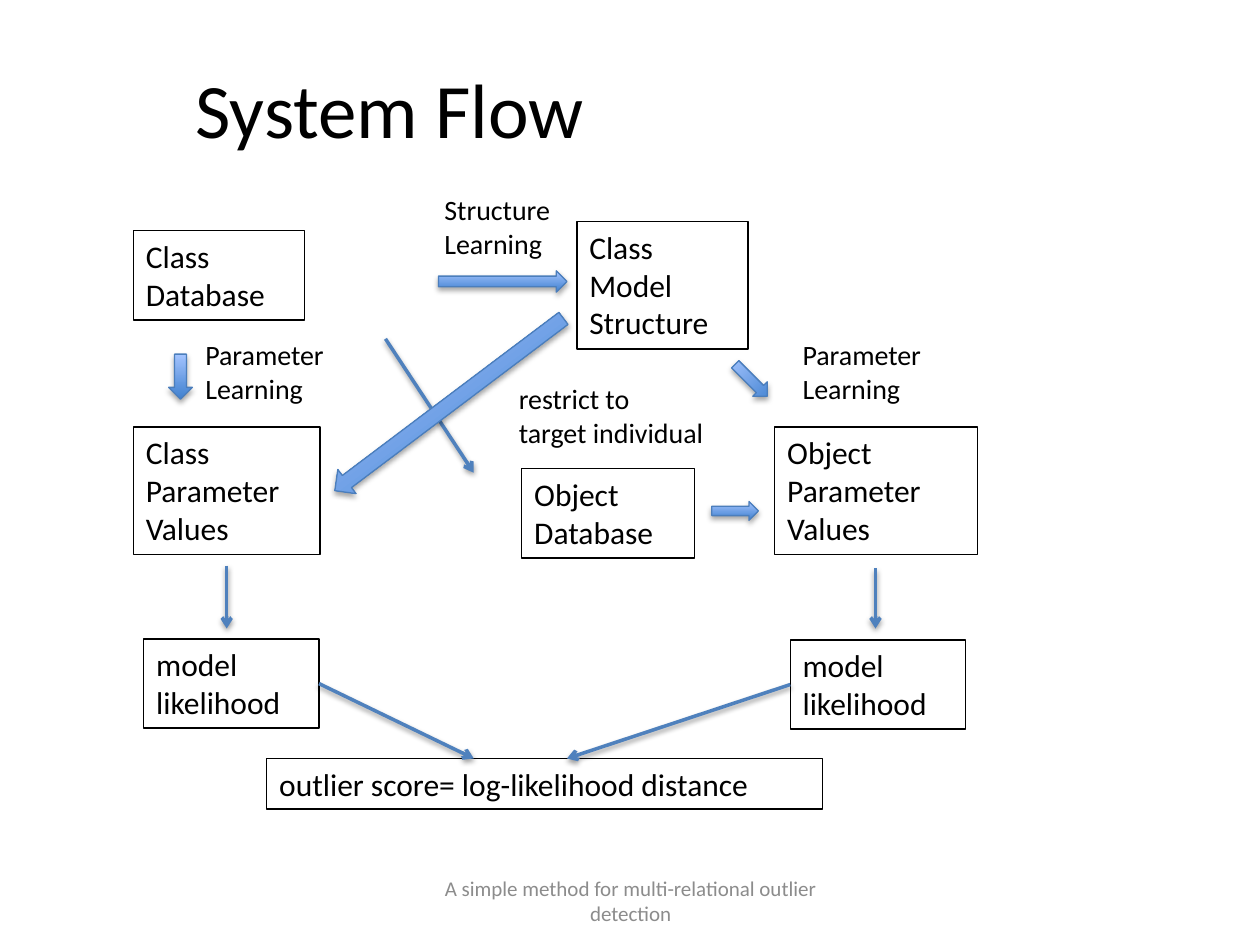
from dataclasses import dataclass

from lxml.etree import SubElement
from pptx import Presentation
from pptx.dml.color import RGBColor
from pptx.enum.shapes import MSO_CONNECTOR, MSO_SHAPE
from pptx.enum.text import MSO_ANCHOR, MSO_AUTO_SIZE, PP_ALIGN
from pptx.oxml.ns import qn
from pptx.util import Cm, Pt


@dataclass(frozen=True)
class Theme:
    font: str = "Calibri"
    ink: RGBColor = RGBColor(0x00, 0x00, 0x00)
    muted: RGBColor = RGBColor(0x8C, 0x8C, 0x8C)
    flow_line: RGBColor = RGBColor(0x4F, 0x81, 0xBD)
    arrow_edge: RGBColor = RGBColor(0x4B, 0x7E, 0xBC)
    arrow_dark: RGBColor = RGBColor(0x3F, 0x80, 0xCE)
    arrow_light: RGBColor = RGBColor(0xA4, 0xC4, 0xFF)
    title: Pt = Pt(44)
    box: Pt = Pt(18)
    label: Pt = Pt(16)
    footer: Pt = Pt(12)


THEME = Theme()


def write(frame, text, size, color=THEME.ink, align=PP_ALIGN.LEFT):
    frame.word_wrap = True
    frame.text = text
    for paragraph in frame.paragraphs:
        paragraph.alignment = align
        paragraph.font.name = THEME.font
        paragraph.font.size = size
        paragraph.font.color.rgb = color


def add_title(slide, text, left, top, width, height):
    title = slide.shapes.title
    title.left, title.top = Cm(left), Cm(top)
    title.width, title.height = Cm(width), Cm(height)
    title.text_frame.vertical_anchor = MSO_ANCHOR.MIDDLE
    write(title.text_frame, text, THEME.title, align=PP_ALIGN.CENTER)


def add_footer(slide, text, left, top, width, height):
    footer = slide.shapes.add_textbox(Cm(left), Cm(top), Cm(width), Cm(height))
    footer.text_frame.vertical_anchor = MSO_ANCHOR.MIDDLE
    write(footer.text_frame, text, THEME.footer, THEME.muted, PP_ALIGN.CENTER)


def add_label(slide, text, left, top, width, height=1.63, size=THEME.label):
    label = slide.shapes.add_textbox(Cm(left), Cm(top), Cm(width), Cm(height))
    label.text_frame.auto_size = MSO_AUTO_SIZE.SHAPE_TO_FIT_TEXT
    write(label.text_frame, text, size)
    return label


def add_box(slide, text, left, top, width, height):
    """Outlined step of the flow."""
    box = add_label(slide, text, left, top, width, height, THEME.box)
    box.line.color.rgb = THEME.ink
    box.line.width = Pt(0.75)
    return box


def add_shadow(item, opacity, distance):
    """Soft shadow straight below the item; opacity in percent."""
    effects = SubElement(item._element.spPr, qn("a:effectLst"))
    shadow = SubElement(effects, qn("a:outerShdw"), blurRad=str(Pt(3.1)),
                        dist=str(Pt(distance)), dir="5400000", rotWithShape="0")
    black = SubElement(shadow, qn("a:srgbClr"), val="000000")
    SubElement(black, qn("a:alpha"), val=str(opacity * 1000))


def add_block_arrow(slide, preset, left, top, width, height, rotation=0):
    arrow = slide.shapes.add_shape(preset, Cm(left), Cm(top), Cm(width), Cm(height))
    arrow.rotation = rotation
    arrow.fill.gradient()
    arrow.fill.gradient_angle = 90
    for stop, color in zip(arrow.fill.gradient_stops,
                           (THEME.arrow_dark, THEME.arrow_light)):
        stop.color.rgb = color
    arrow.line.color.rgb = THEME.arrow_edge
    arrow.line.width = Pt(0.75)
    add_shadow(arrow, 35, 1.8)


def add_flow_line(slide, start, end):
    flow = slide.shapes.add_connector(MSO_CONNECTOR.STRAIGHT,
                                      *(Cm(value) for value in start + end))
    flow.line.color.rgb = THEME.flow_line
    flow.line.width = Pt(2)
    SubElement(flow._element.spPr.find(qn("a:ln")), qn("a:tailEnd"), type="arrow")
    add_shadow(flow, 38, 1.6)
    return flow


def main():
    deck = Presentation()
    deck.slide_width, deck.slide_height = Cm(25.4), Cm(19.05)
    slide = deck.slides.add_slide(deck.slide_layouts[5])

    add_title(slide, "System Flow", 2.36, 0.58, 11, 3.18)
    add_footer(slide, "A simple method for multi-relational outlier detection",
               8.69, 17.65, 8.05, 1.02)

    add_box(slide, "Class\nDatabase", 2.69, 4.65, 3.45, 1.8)
    add_box(slide, "Class\nModel Structure", 11.63, 4.47, 3.45, 2.57)
    add_box(slide, "Class\nParameter\nValues", 2.69, 8.61, 3.76, 2.57)
    add_box(slide, "Object Database", 10.52, 9.45, 3.48, 1.8)
    add_box(slide, "Object Parameter\nValues", 15.62, 8.61, 4.09, 2.57)
    class_likelihood = add_box(slide, "model likelihood", 2.9, 12.88, 3.53, 1.8)
    object_likelihood = add_box(slide, "model likelihood", 15.93, 12.9, 3.53, 1.8)
    add_box(slide, "outlier score= log-likelihood distance", 5.38, 15.29, 11.2, 1.02)

    add_label(slide, "Structure\nLearning", 8.71, 3.76, 3.61)
    for left in (3.89, 15.93):
        add_label(slide, "Parameter\nLearning", left, 6.68, 3.23)
    add_label(slide, "restrict to \vtarget individual", 10.21, 7.57, 4.57)

    add_flow_line(slide, (4.57, 11.4), (4.57, 12.67))
    add_flow_line(slide, (17.65, 11.46), (17.65, 12.67))
    add_flow_line(slide, (7.77, 6.83), (9.55, 9.53))
    class_score = add_flow_line(slide, (6.43, 13.78), (9.55, 15.29))
    class_score.begin_connect(class_likelihood, 3)
    object_score = add_flow_line(slide, (15.93, 13.8), (11.43, 15.29))
    object_score.begin_connect(object_likelihood, 1)

    add_block_arrow(slide, MSO_SHAPE.DOWN_ARROW, 3.4, 7.14, 0.48, 0.91)
    add_block_arrow(slide, MSO_SHAPE.DOWN_ARROW, 14.94, 7.21, 0.41, 0.91, 315)
    add_block_arrow(slide, MSO_SHAPE.RIGHT_ARROW, 8.84, 5.46, 2.59, 0.43)
    add_block_arrow(slide, MSO_SHAPE.RIGHT_ARROW, 14.35, 10.11, 0.94, 0.38)
    add_block_arrow(slide, MSO_SHAPE.LEFT_ARROW, 6.17, 7.85, 5.77, 0.61, 323)

    deck.save("out.pptx")


if __name__ == "__main__":
    main()
